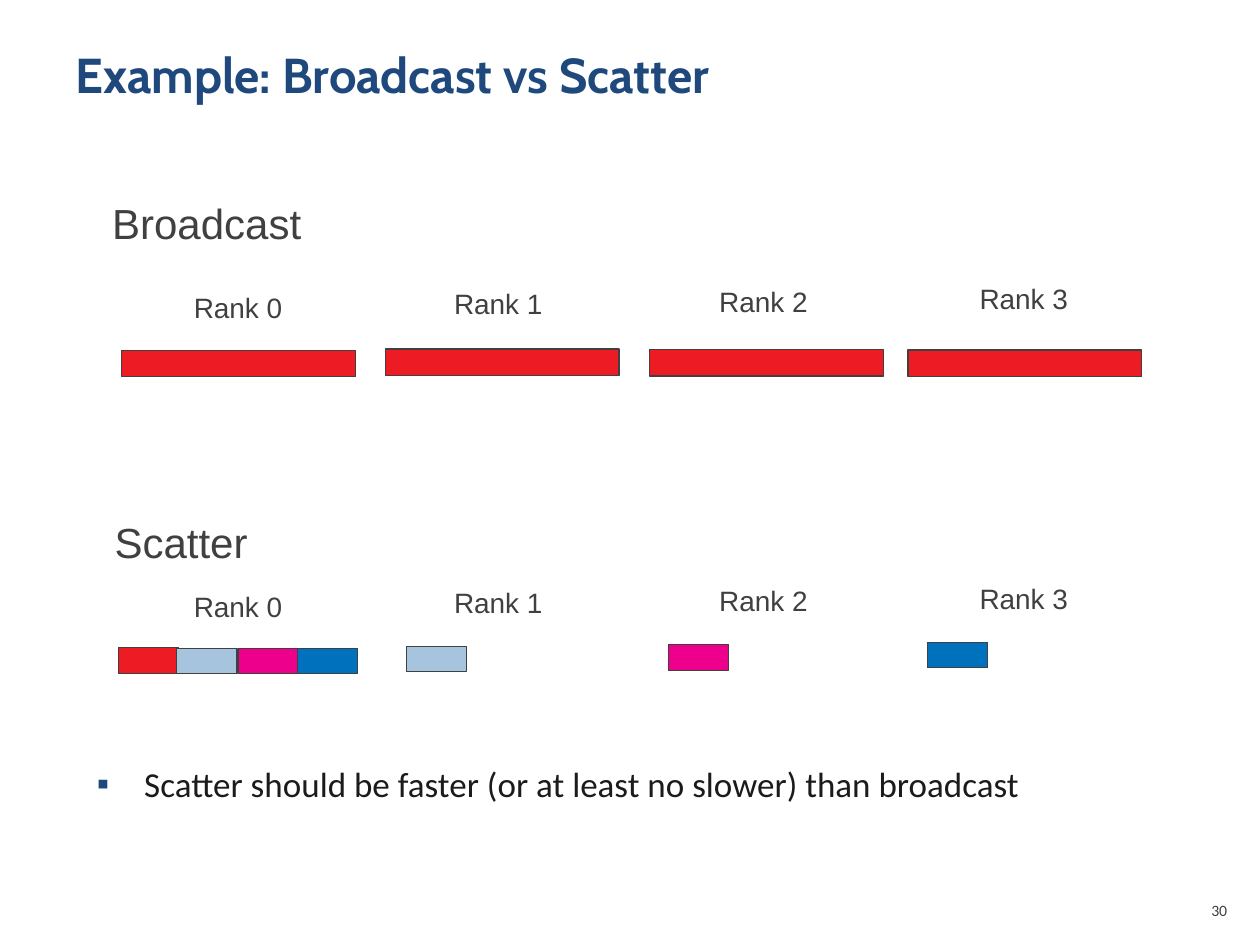
from dataclasses import dataclass

from lxml import etree
from pptx import Presentation
from pptx.dml.color import RGBColor
from pptx.enum.shapes import MSO_SHAPE
from pptx.enum.text import MSO_ANCHOR, MSO_AUTO_SIZE, PP_ALIGN
from pptx.oxml.ns import qn
from pptx.util import Pt

RECTANGLE = MSO_SHAPE.RECTANGLE
TOP = MSO_ANCHOR.TOP
LEFT, RIGHT = PP_ALIGN.LEFT, PP_ALIGN.RIGHT
NO_FIT, GROW = MSO_AUTO_SIZE.NONE, MSO_AUTO_SIZE.SHAPE_TO_FIT_TEXT

COLORS = {
    "title": "1F497D", "body": "1B1B1B", "gray": "404040",
    "red": "ED1C24", "light blue": "A6C4DE", "magenta": "EC008C", "blue": "0071BC",
}

FORMATS = {
    "title": {"name": "Cabin", "size": Pt(28), "bold": True},
    "heading": {"name": "Arial", "size": Pt(24)},
    "label": {"name": "Arial", "size": Pt(16)},
    "body": {"name": "Calibri", "size": Pt(20)},
    "number": {"name": "Calibri", "size": Pt(9)},
}


@dataclass
class Box:
    left: float
    top: float
    width: float
    height: float


@dataclass
class Rank:
    label_left: float
    label_top: float
    bar_left: float
    bar_top: float


RANKS = [
    Rank(103.7, 162.7, 69.6, 200.2),
    Rank(252.4, 160.0, 220.3, 199.5),
    Rank(403.9, 159.3, 371.3, 199.8),
    Rank(552.7, 157.6, 518.9, 200.0),
]
SCATTER_OFFSET = 170.9
BAR_WIDTH, BAR_HEIGHT = 133.5, 15
CHUNK_WIDTH, CHUNK_HEIGHT = 34.5, 14.5

# The light blue chunk comes last because it overlaps its neighbours
CHUNKS = [
    ("red", 67.6, 370.2), ("magenta", 136.1, 370.5), ("blue", 169.9, 370.5),
    ("magenta", 382.0, 368.5), ("light blue", 232.1, 369.3),
    ("blue", 529.9, 367.0), ("light blue", 101.0, 370.5),
]


def place(shape, box: Box) -> None:
    for side in ("left", "top", "width", "height"):
        setattr(shape, side, Pt(getattr(box, side)))


def write(shape, text: str, style: str, color: str,
          alignment=LEFT, wrap: bool = True, fit=NO_FIT):
    frame = shape.text_frame
    frame.word_wrap = wrap
    frame.auto_size = fit
    frame.vertical_anchor = TOP
    paragraph = frame.paragraphs[0]
    paragraph.alignment = alignment
    run = paragraph.add_run()
    run.text = text
    for attribute, value in FORMATS[style].items():
        setattr(run.font, attribute, value)
    run.font.color.rgb = RGBColor.from_string(COLORS[color])
    return paragraph


def add_label(slide, text: str, box: Box, style: str) -> None:
    shape = slide.shapes.add_textbox(0, 0, 0, 0)
    place(shape, box)
    write(shape, text, style, "gray", wrap=False, fit=GROW)


def add_block(slide, color: str, box: Box) -> None:
    shape = slide.shapes.add_shape(RECTANGLE, 0, 0, 0, 0)
    place(shape, box)
    shape.shadow.inherit = False
    shape.fill.solid()
    shape.fill.fore_color.rgb = RGBColor.from_string(COLORS[color])
    shape.line.color.rgb = RGBColor.from_string(COLORS["gray"])
    shape.line.width = Pt(0.75)


def add_bullet(paragraph, indent: float) -> None:
    properties = paragraph._p.get_or_add_pPr()
    properties.set("marL", str(Pt(indent)))
    properties.set("indent", str(-Pt(indent)))
    bullet_color = etree.SubElement(properties, qn("a:buClr"))
    etree.SubElement(bullet_color, qn("a:srgbClr"), val=COLORS["title"])
    etree.SubElement(properties, qn("a:buFont"), typeface="Arial")
    etree.SubElement(properties, qn("a:buChar"), char="▪")


def main() -> None:
    presentation = Presentation()
    presentation.slide_width, presentation.slide_height = Pt(720), Pt(540)
    slide = presentation.slides.add_slide(presentation.slide_layouts[1])

    # Title and closing statement
    title, body = slide.shapes.title, slide.placeholders[1]
    place(title, Box(36, 21.6, 648, 90))
    write(title, "Example: Broadcast vs Scatter", "title", "title")
    place(body, Box(48.2, 432, 624, 31))
    statement = write(
        body, "Scatter should be faster (or at least no slower) than broadcast",
        "body", "body", fit=GROW)
    statement.space_before = Pt(0)
    add_bullet(statement, 27)

    # Section headings
    add_label(slide, "Broadcast", Box(57, 109.5, 122.4, 36), "heading")
    add_label(slide, "Scatter", Box(58.4, 291.7, 90.7, 36), "heading")

    # Rank labels of both sections, and the full broadcast bars
    for number, rank in enumerate(RANKS):
        for offset in (0, SCATTER_OFFSET):
            label_box = Box(rank.label_left, rank.label_top + offset, 64.8, 26.6)
            add_label(slide, f"Rank {number}", label_box, "label")
        add_block(slide, "red", Box(rank.bar_left, rank.bar_top, BAR_WIDTH, BAR_HEIGHT))

    # Scattered chunks
    for color, left, top in CHUNKS:
        add_block(slide, color, Box(left, top, CHUNK_WIDTH, CHUNK_HEIGHT))

    # Slide number
    number_box = slide.shapes.add_textbox(0, 0, 0, 0)
    place(number_box, Box(678.2, 511.2, 30.2, 28.8))
    write(number_box, "30", "number", "gray", alignment=RIGHT)

    presentation.save("out.pptx")


if __name__ == "__main__":
    main()
